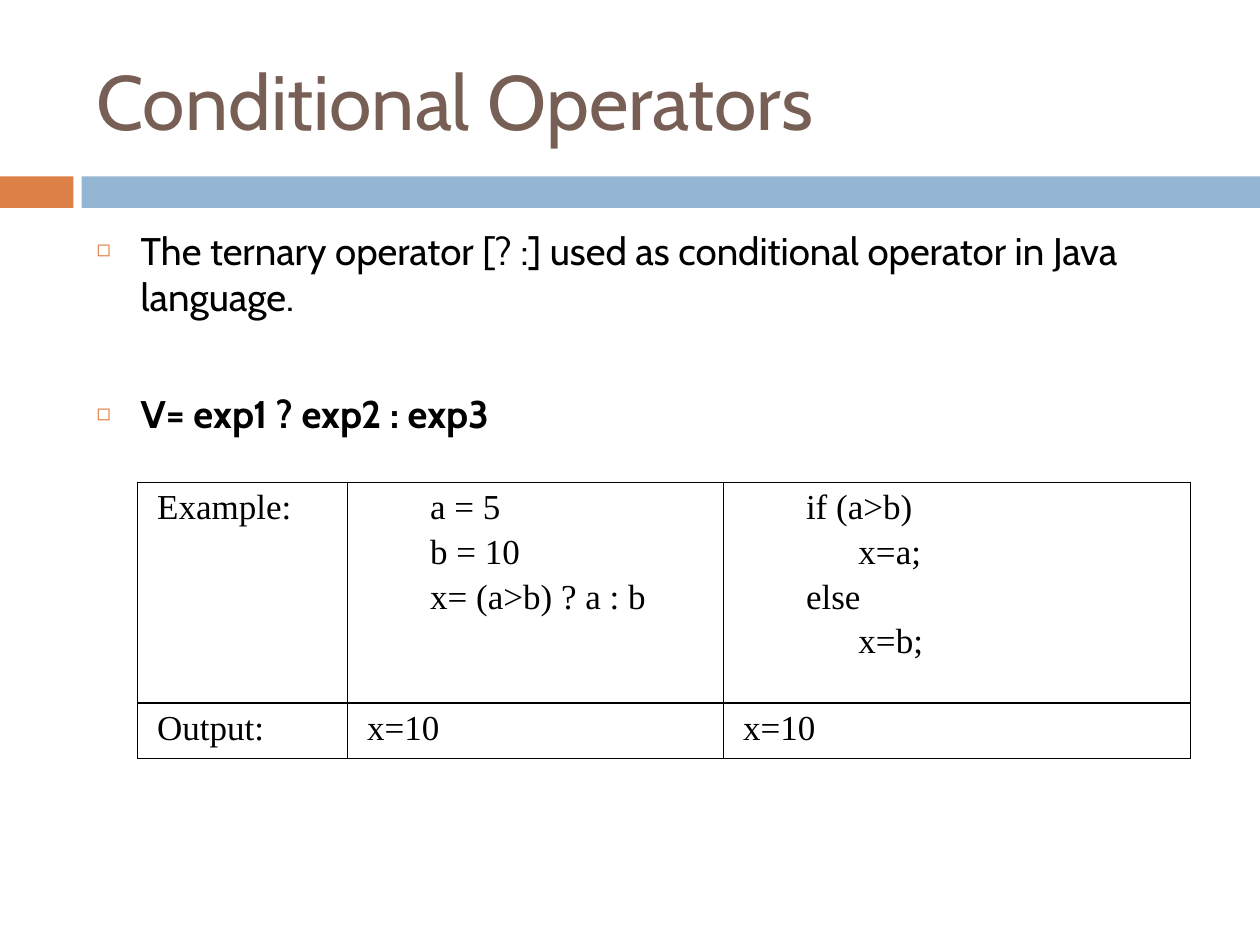
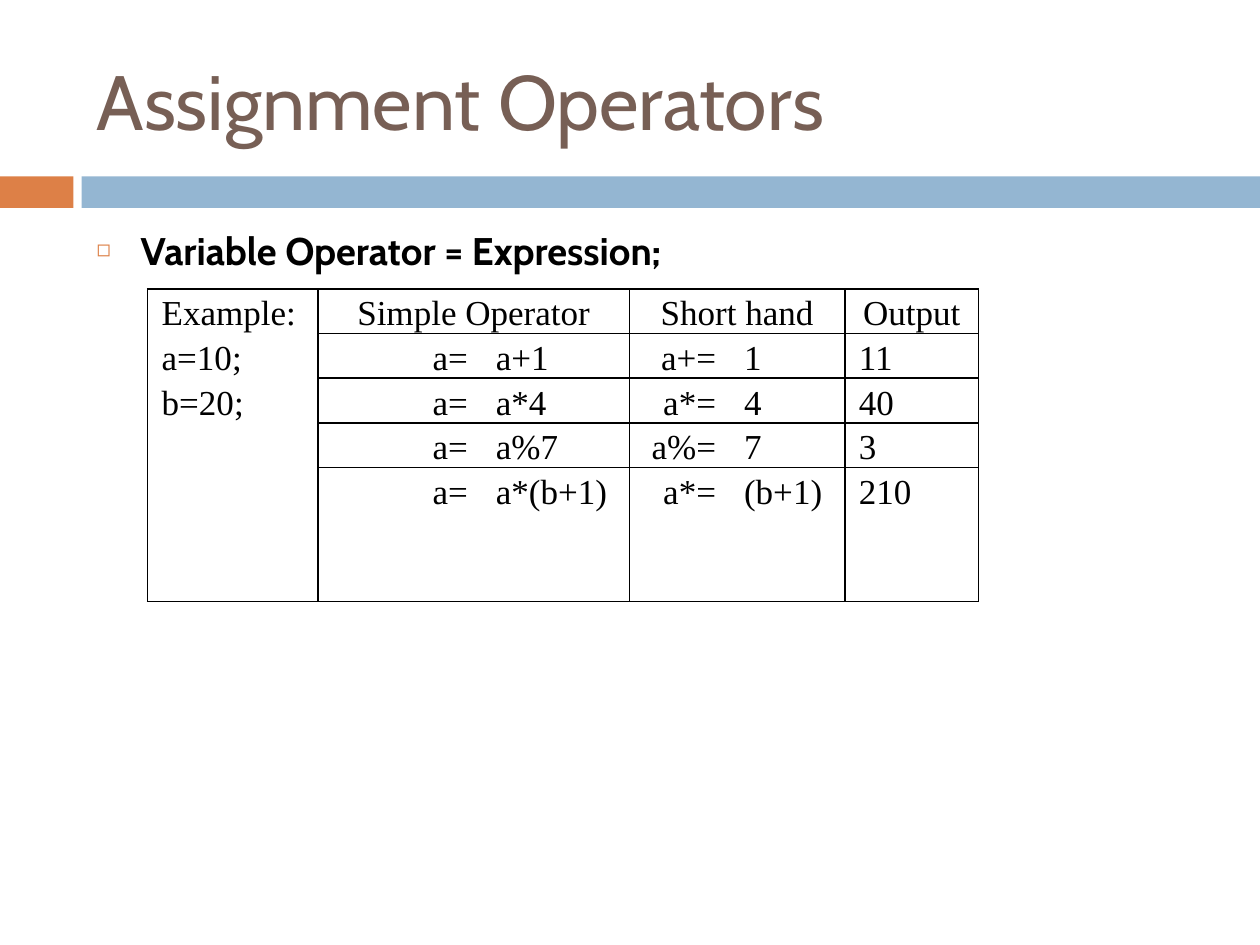
from pptx import Presentation
from pptx.dml.color import RGBColor
from pptx.enum.shapes import MSO_SHAPE
from pptx.enum.text import MSO_ANCHOR, MSO_AUTO_SIZE, PP_ALIGN
from pptx.oxml.ns import qn
from pptx.util import Pt
from lxml.etree import SubElement, Element

# Shared look
ORANGE = RGBColor(0xDD, 0x80, 0x47)
BLUE = RGBColor(0x94, 0xB6, 0xD2)
BROWN = RGBColor(0x77, 0x5F, 0x55)
BLACK = RGBColor(0, 0, 0)
HEADING_FONT = "Cabin"
TABLE_FONT = "Times New Roman"

# Boxes: left, top, width, height in points
TITLE_BOX = (48, 18, 642, 78)
BODY_BOX = (48, 126, 642, 354)
BAND_BOX = (0, 100.8, 720, 18)
HANGING_INDENT = 25.2
EDGES = "LRTB"
CENTER, LEFT, RIGHT, JUSTIFY = PP_ALIGN.CENTER, PP_ALIGN.LEFT, PP_ALIGN.RIGHT, PP_ALIGN.JUSTIFY


def place(shape, box):
    shape.left, shape.top, shape.width, shape.height = map(Pt, box)


def add_run(para, text, font, size, color, bold=False):
    span = para.add_run()
    span.text = text
    span.font.name, span.font.size, span.font.bold = font, Pt(size), bold
    span.font.color.rgb = color


def add_band(page, box):
    left, top, width, height = box
    tab_width, gap = 42, 4.6
    blue_left = left + tab_width + gap
    for color, start, length in ((ORANGE, left, tab_width),
                                 (BLUE, blue_left, left + width - blue_left)):
        bar = page.shapes.add_shape(MSO_SHAPE.RECTANGLE, Pt(start), Pt(top), Pt(length), Pt(height))
        bar.shadow.inherit = False
        bar.fill.solid()
        bar.fill.fore_color.rgb = color
        bar.line.fill.background()


def add_title(page, box, text):
    title = page.shapes.title
    place(title, box)
    frame = title.text_frame
    frame.auto_size = MSO_AUTO_SIZE.NONE
    frame.vertical_anchor = MSO_ANCHOR.MIDDLE
    para = frame.paragraphs[0]
    para.alignment = LEFT
    add_run(para, text, HEADING_FONT, 44, BROWN)


def add_bullet(para):
    properties = para._p.get_or_add_pPr()
    properties.set("marL", str(Pt(HANGING_INDENT)))
    properties.set("indent", str(-Pt(HANGING_INDENT)))
    color = SubElement(properties, qn("a:buClr"))
    SubElement(color, qn("a:srgbClr"), val=str(ORANGE))
    SubElement(properties, qn("a:buSzPct"), val="60000")
    SubElement(properties, qn("a:buChar"), char="◻")


def add_list(page, box, items):
    """Each item is its text and whether it is bold."""
    body = page.placeholders[1]
    place(body, box)
    frame = body.text_frame
    frame.auto_size = MSO_AUTO_SIZE.NONE
    frame.word_wrap = True
    for index, (text, bold) in enumerate(items):
        para = frame.add_paragraph() if index else frame.paragraphs[0]
        add_bullet(para)
        para.space_before = Pt(40.6 if index else 0)
        add_run(para, text, HEADING_FONT, 22, BLACK, bold)


def set_borders(cell, hidden):
    """Draw every edge of the cell except the hidden ones."""
    properties = cell._tc.get_or_add_tcPr()
    for index, edge in enumerate(EDGES):
        line = Element(qn("a:ln" + edge), w=str(Pt(1)))
        if edge in hidden:
            SubElement(line, qn("a:noFill"))
        else:
            fill = SubElement(line, qn("a:solidFill"))
            SubElement(fill, qn("a:srgbClr"), val=str(BLACK))
        properties.insert(index, line)


def fill_cell(cell, text, alignment, inset, indent=0):
    cell.fill.background()
    cell.margin_left = cell.margin_right = Pt(inset)
    cell.margin_top = cell.margin_bottom = 0
    if not text:
        return
    for index, line in enumerate(text.split("\n")):
        frame = cell.text_frame
        para = frame.add_paragraph() if index else frame.paragraphs[0]
        para._p.get_or_add_pPr().set("marL", str(Pt(indent)))
        para.alignment = alignment
        para.line_spacing = 1.15
        add_run(para, line, TABLE_FONT, 20, BLACK)


def add_grid(page, left, top, widths, heights):
    frame = page.shapes.add_table(len(heights), len(widths), Pt(left), Pt(top),
                                  Pt(sum(widths)), Pt(sum(heights)))
    table = frame.table
    table.first_row = table.horz_banding = False
    for column, width in zip(table.columns, widths):
        column.width = Pt(width)
    for row, height in zip(table.rows, heights):
        row.height = Pt(height)
    return table


def add_conditional_table(page, left, top):
    rows = [
        ("Example:", "a = 5\nb = 10\nx= (a>b) ? a : b", "if (a>b)\n      x=a;\nelse\n      x=b;"),
        ("Output:", "x=10", "x=10"),
    ]
    table = add_grid(page, left, top, (120, 214.8, 267), (126, 31.5))
    for r, texts in enumerate(rows):
        for c, text in enumerate(texts):
            is_code = r == 0 and c > 0
            cell = table.cell(r, c)
            fill_cell(cell, text, LEFT if r else JUSTIFY, 11.2, 36 if is_code else 0)
            set_borders(cell, "")


def add_assignment_table(page, left, top):
    rows = [
        ("Example:\na=10;\nb=20;", "Simple Operator", "", "Short hand", "", "Output"),
        ("", "a=", "a+1", "a+=", "1", "11"),
        ("", "a=", "a*4", "a*=", "4", "40"),
        ("", "a=", "a%7", "a%=", "7", "3"),
        ("", "a=", "a*(b+1)", "a*=", "(b+1)", "210"),
    ]
    line_height = 25.55
    table = add_grid(page, left, top, (97.4, 93.6, 84.2, 57.6, 65.6, 76.4),
                     [line_height] * 4 + [3 * line_height])
    table.cell(0, 0).merge(table.cell(4, 0))
    pair_starts = (1, 3)
    for c in pair_starts:
        table.cell(0, c).merge(table.cell(0, c + 1))
    for r, texts in enumerate(rows):
        for c, text in enumerate(texts):
            alignment, hidden = JUSTIFY, ""
            if r == 0 and c > 0:
                alignment = CENTER
            elif c in pair_starts:
                alignment, hidden = RIGHT, "R"
            elif c - 1 in pair_starts:
                hidden = "L"
            cell = table.cell(r, c)
            fill_cell(cell, text, alignment, 8)
            set_borders(cell, hidden)


def add_page(deck, title, items):
    page = deck.slides.add_slide(deck.slide_layouts[1])
    add_band(page, BAND_BOX)
    add_title(page, TITLE_BOX, title)
    add_list(page, BODY_BOX, items)
    return page


def main():
    deck = Presentation()
    deck.slide_width, deck.slide_height = Pt(720), Pt(540)

    # Conditional operators
    page = add_page(deck, "Conditional Operators", [
        ("The ternary operator [? :] used as conditional operator in Java language.", False),
        ("V= exp1 ? exp2 : exp3", True),
    ])
    add_conditional_table(page, 78.6, 275.8)

    # Assignment operators
    page = add_page(deck, "Assignment Operators", [("Variable Operator = Expression;", True)])
    add_assignment_table(page, 84.4, 165)

    deck.save("out.pptx")


if __name__ == "__main__":
    main()
